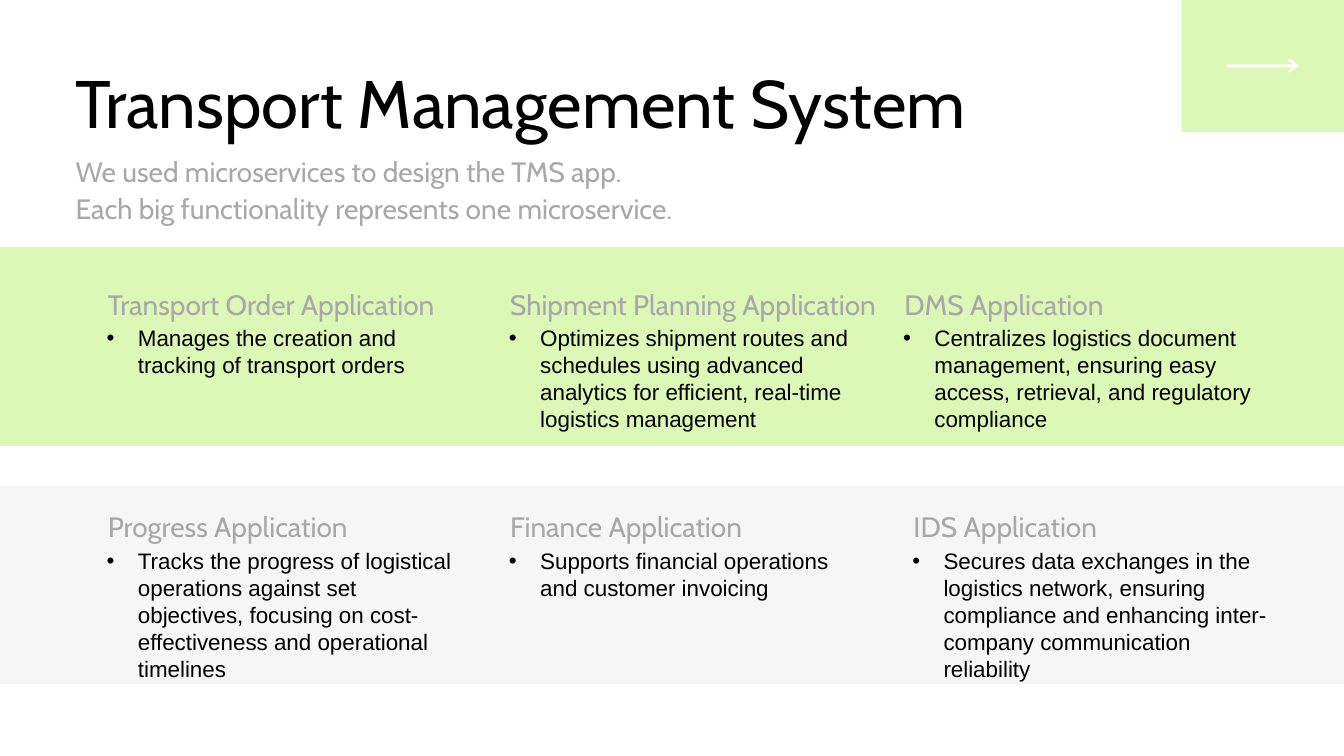
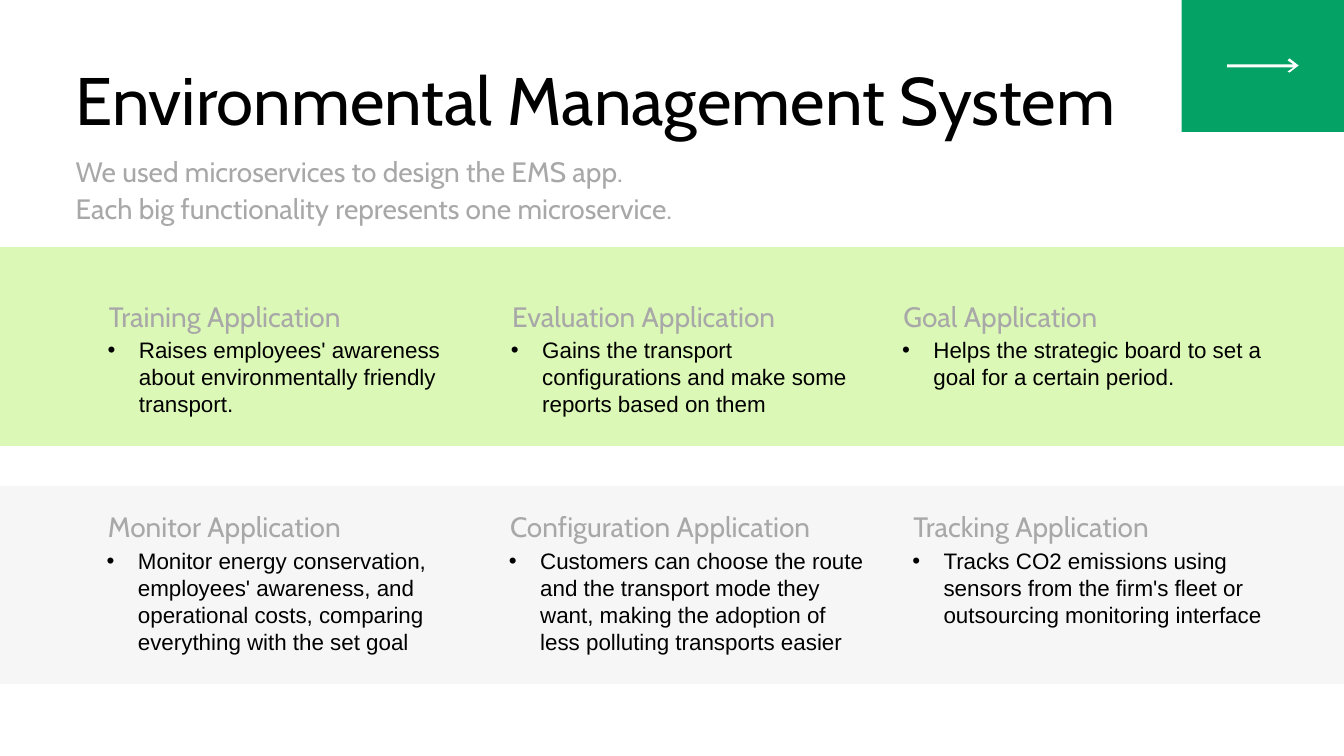
from pptx import Presentation
from pptx.dml.color import RGBColor as RGB
from pptx.enum.shapes import MSO_SHAPE as Shape
from pptx.util import Inches as In, Pt
from lxml import etree

# Content: title, its top, corner colour, subtitle, then two rows of cards
LIME = RGB(0xDC, 0xF8, 0xB6)
GREEN = RGB(0x04, 0xA2, 0x64)
PALE = RGB(0xF6, 0xF6, 0xF6)
GRAY = RGB(0xA8, 0xA8, 0xA8)
BLACK = RGB(0, 0, 0)
WHITE = RGB(255, 255, 255)

DECK = [
    {
        "title": "Transport Management System", "top": 0.61, "corner": LIME,
        "sub": ["We used microservices to design the TMS app.",
                "Each big functionality represents one microservice."],
        "rows": [
            {"top": 2.82, "cols": (1.07, 5.06, 8.97), "cards": [
                ("Transport Order Application",
                 "Manages the creation and tracking of transport orders"),
                ("Shipment Planning Application",
                 "Optimizes shipment routes and schedules using advanced "
                 "analytics for efficient, real-time logistics management"),
                ("DMS Application",
                 "Centralizes logistics document management, ensuring easy "
                 "access, retrieval, and regulatory compliance")]},
            {"top": 5.03, "cols": (1.07, 5.06, 9.06), "cards": [
                ("Progress Application",
                 "Tracks the progress of logistical operations against set "
                 "objectives, focusing on cost-effectiveness and operational "
                 "timelines"),
                ("Finance Application",
                 "Supports financial operations and customer invoicing"),
                ("IDS Application",
                 "Secures data exchanges in the logistics network, ensuring "
                 "compliance and enhancing inter-company communication "
                 "reliability")]},
        ],
    },
    {
        "title": "Environmental Management System", "top": 0.58, "corner": GREEN,
        "sub": ["We used microservices to design the EMS app.",
                "Each big functionality represents one microservice."],
        "rows": [
            {"top": 2.94, "cols": (1.08, 5.08, 8.96), "cards": [
                ("Training Application",
                 "Raises employees' awareness about environmentally friendly "
                 "transport."),
                ("Evaluation Application",
                 "Gains the transport configurations and make some reports "
                 "based on them"),
                ("Goal Application",
                 "Helps the strategic board to set a goal for a certain "
                 "period.")]},
            {"top": 5.03, "cols": (1.07, 5.06, 9.06), "cards": [
                ("Monitor Application",
                 "Monitor energy conservation, employees' awareness, and "
                 "operational costs, comparing everything with the set goal"),
                ("Configuration Application",
                 "Customers can choose the route and the transport mode they "
                 "want, making the adoption of less polluting transports "
                 "easier"),
                ("Tracking Application",
                 "Tracks CO2 emissions using sensors from the firm's fleet "
                 "or outsourcing monitoring interface")]},
        ],
    },
]

# Shared frame and styles
WIDE, HIGH = 13.33, 7.5
BANDS = [(2.46, LIME), (4.83, PALE)]
BAND_H = 1.95
CORNER = (11.72, 0, 1.61, 1.31)
# Outline in hundredths of an inch
ARROW = [(1217, 64), (1283, 64), (1277, 60), (1279, 58), (1288, 65),
         (1279, 72), (1277, 71), (1283, 67), (1217, 67)]
HEAD_H = 0.35
TITLE = dict(size=48, font="Cabin", color=BLACK)
LABEL = dict(size=20, font="Cabin", color=GRAY, lead=Pt(26))
BODY = dict(size=16, font="Arial", color=BLACK, bullet=True)
INDENT = In(0.31)
NS = "{http://schemas.openxmlformats.org/drawingml/2006/main}"


def paint(shape, fill, line=None):
    shape.shadow.inherit = False
    shape.fill.solid()
    shape.fill.fore_color.rgb = fill
    if line is None:
        shape.line.fill.background()
    else:
        shape.line.color.rgb = line
        shape.line.width = Pt(1.5)


def rect(slide, box, fill, line=None):
    shape = slide.shapes.add_shape(Shape.RECTANGLE, *map(In, box))
    paint(shape, fill, line)


def write(slide, text, box, size, font, color, lead=None, bullet=False):
    """Put one line of text, or a list of paragraphs, in a box."""
    frame = slide.shapes.add_textbox(*map(In, box)).text_frame
    frame.word_wrap = True
    if not bullet:
        frame.margin_left = frame.margin_right = 0
        frame.margin_top = frame.margin_bottom = 0
    lines = [text] if isinstance(text, str) else text
    for i, line in enumerate(lines):
        para = frame.add_paragraph() if i else frame.paragraphs[0]
        if lead:
            para.line_spacing = lead
        if bullet:
            props = para._p.get_or_add_pPr()
            props.set("marL", str(INDENT))
            props.set("indent", str(-INDENT))
            etree.SubElement(props, NS + "buFont", typeface="Arial")
            etree.SubElement(props, NS + "buChar", char="•")
        run = para.add_run()
        run.text = line
        run.font.size = Pt(size)
        run.font.name = font
        run.font.color.rgb = color


def card(slide, left, top, head, body):
    write(slide, head, (left, top, 3.66, HEAD_H), **LABEL)
    write(slide, body, (left - 0.11, top + HEAD_H, 3.77, 1.06), **BODY)


def arrow(slide):
    build = slide.shapes.build_freeform(*ARROW[0], scale=In(0.01))
    build.add_line_segments(ARROW[1:], close=True)
    paint(build.convert_to_shape(), WHITE)


def page(deck, data):
    slide = deck.slides.add_slide(deck.slide_layouts[6])
    for top, color in BANDS:
        rect(slide, (0, top, WIDE, BAND_H), color, color)
    for row in data["rows"]:
        for left, (head, body) in zip(row["cols"], row["cards"]):
            card(slide, left, row["top"], head, body)
    write(slide, data["title"], (0.75, data["top"], 10.53, 0.81), **TITLE)
    write(slide, data["sub"], (0.75, 1.51, 6.76, 0.72), **LABEL)
    rect(slide, CORNER, data["corner"])
    arrow(slide)


def main():
    deck = Presentation()
    deck.slide_width, deck.slide_height = In(WIDE), In(HIGH)
    for data in DECK:
        page(deck, data)
    deck.save("out.pptx")


if __name__ == "__main__":
    main()
